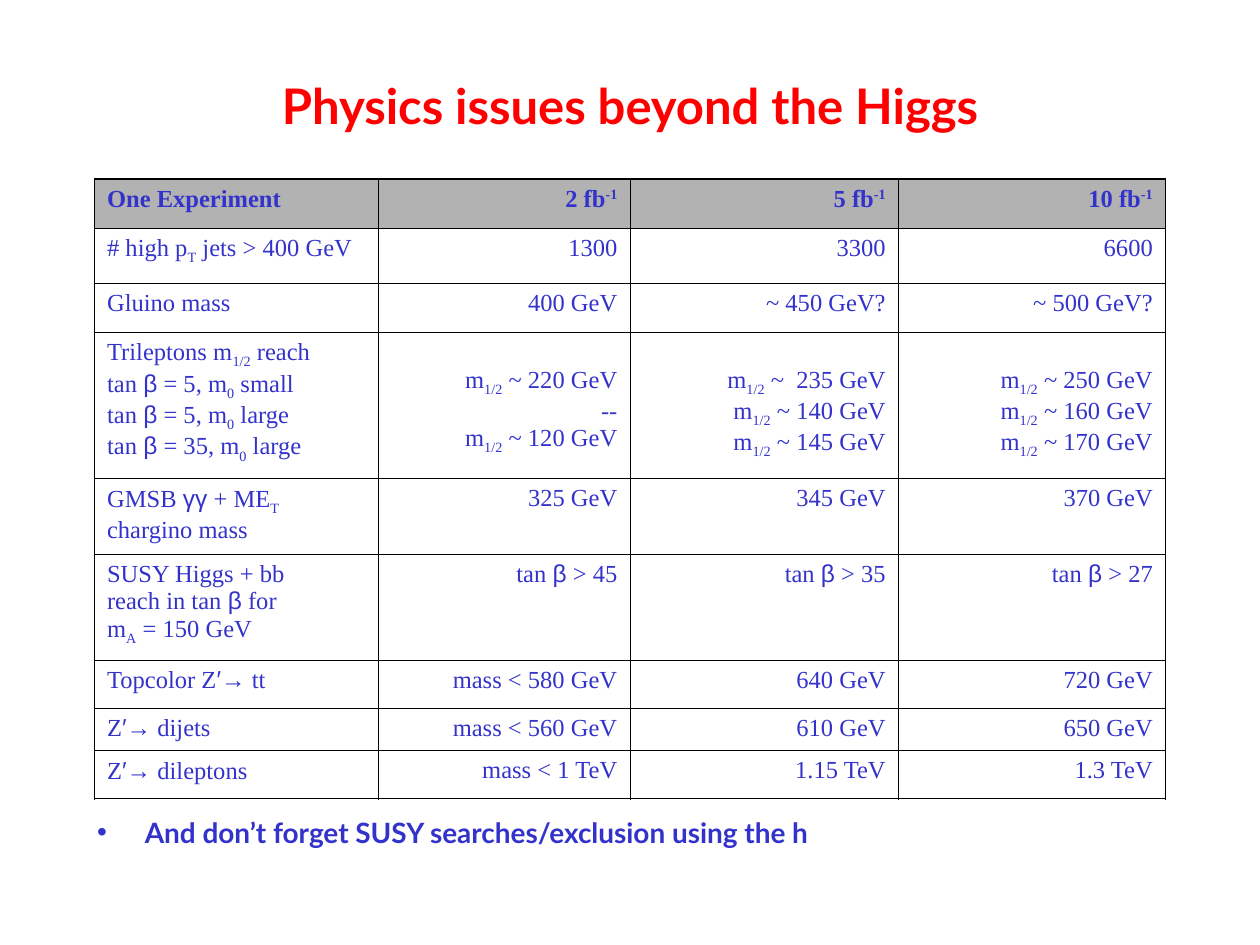
from itertools import groupby

from lxml.etree import SubElement
from pptx import Presentation
from pptx.dml.color import RGBColor
from pptx.enum.text import MSO_ANCHOR, MSO_AUTO_SIZE, PP_ALIGN
from pptx.oxml.ns import qn
from pptx.util import Inches, Pt

THEME = {
    "title": {"name": "Lato", "size": Pt(28), "bold": True, "color": "FF0000"},
    "bullet": {"name": "Lato", "size": Pt(16), "bold": True, "color": "3333CC"},
    "header": {"name": "Times New Roman", "size": Pt(14), "bold": True, "color": "3333CC"},
    "cell": {"name": "Times New Roman", "size": Pt(14), "bold": False, "color": "3333CC"},
    "symbol_font": "Arial",
    "header_fill": "B2B2B2",
    "border": "000000",
    "outer_line": Pt(1.08),
    "inner_line": Pt(0.45),
}
SYMBOLS = "βγ′→"
BASELINES = {"_": "-25000", "^": "30000"}

# {_x} is a subscript, {^x} a superscript, a newline a line break
ROWS = [
    ["One Experiment", "2 fb{^-1}", "5 fb{^-1}", "10 fb{^-1}"],
    ["# high p{_T} jets > 400 GeV", "1300", "3300", "6600"],
    ["Gluino mass", "400 GeV", "~ 450 GeV?", "~ 500 GeV?"],
    ["Trileptons m{_1/2} reach\ntan β = 5, m{_0} small\n"
     "tan β = 5, m{_0} large\ntan β = 35, m{_0} large",
     "m{_1/2} ~ 220 GeV\n--\nm{_1/2} ~ 120 GeV",
     "m{_1/2} ~  235 GeV\nm{_1/2} ~ 140 GeV\nm{_1/2} ~ 145 GeV",
     "m{_1/2} ~ 250 GeV\nm{_1/2} ~ 160 GeV\nm{_1/2} ~ 170 GeV"],
    ["GMSB γγ + ME{_T}\nchargino mass", "325 GeV", "345 GeV", "370 GeV"],
    ["SUSY Higgs + bb\nreach in tan β for\nm{_A} = 150 GeV",
     "tan β > 45", "tan β > 35", "tan β > 27"],
    ["Topcolor Z′→ tt", "mass < 580 GeV", "640 GeV", "720 GeV"],
    ["Z′→ dijets", "mass < 560 GeV", "610 GeV", "650 GeV"],
    ["Z′→ dileptons", "mass < 1 TeV", "1.15 TeV", "1.3 TeV"],
]
COLUMN_WIDTHS = [2.25, 2, 2.13, 2.12]
ROW_HEIGHTS = [0.39, 0.44, 0.39, 1.16, 0.6, 0.84, 0.38, 0.34, 0.38]
TRILEPTON_ROW = 3


def apply_font(font, style):
    for attribute, value in style.items():
        if attribute == "color":
            font.color.rgb = RGBColor.from_string(value)
        else:
            setattr(font, attribute, value)


def write_marked_text(paragraph, text, style):
    for line_number, line in enumerate(text.split("\n")):
        if line_number:
            paragraph.add_line_break()
            line_break = paragraph._p.findall(qn("a:br"))[-1]
            SubElement(line_break, qn("a:rPr"), sz=str(int(style["size"].pt * 100)))
        for piece in line.replace("}", "{").split("{"):
            baseline = BASELINES.get(piece[:1])
            if baseline:
                piece = piece[1:]
            for is_symbol, letters in groupby(piece, lambda letter: letter in SYMBOLS):
                run = paragraph.add_run()
                run.text = "".join(letters)
                apply_font(run.font, style)
                if is_symbol:
                    run.font.name = THEME["symbol_font"]
                if baseline:
                    run._r.get_or_add_rPr().set("baseline", baseline)


presentation = Presentation()
presentation.slide_width, presentation.slide_height = Inches(10), Inches(7.5)
slide = presentation.slides.add_slide(presentation.slide_layouts[1])
title, reminder = slide.placeholders

# Title and closing bullet
for placeholder, left, top, anchor, align, style, text in [
    (title, 0.75, 0.5, MSO_ANCHOR.MIDDLE, PP_ALIGN.CENTER, THEME["title"],
     "Physics issues beyond the Higgs"),
    (reminder, 0.67, 6.42, MSO_ANCHOR.TOP, PP_ALIGN.LEFT, THEME["bullet"],
     "And don’t forget SUSY searches/exclusion using the h"),
]:
    placeholder.left, placeholder.top = Inches(left), Inches(top)
    placeholder.width, placeholder.height = Inches(8.5), Inches(0.67)
    frame = placeholder.text_frame
    frame.auto_size = MSO_AUTO_SIZE.NONE
    frame.vertical_anchor = anchor
    paragraph = frame.paragraphs[0]
    paragraph.alignment = align
    paragraph.space_before = Pt(0)
    write_marked_text(paragraph, text, style)

bullet_format = reminder.text_frame.paragraphs[0]._p.get_or_add_pPr()
bullet_format.set("marL", str(Inches(0.38)))
bullet_format.set("indent", str(-Inches(0.38)))
bullet_color = SubElement(bullet_format, qn("a:buClr"))
SubElement(bullet_color, qn("a:srgbClr"), val=THEME["bullet"]["color"])
SubElement(bullet_format, qn("a:buFont"), typeface=THEME["symbol_font"])
SubElement(bullet_format, qn("a:buChar"), char="•")

# Reach table
reach = slide.shapes.add_table(
    len(ROWS), len(COLUMN_WIDTHS), Inches(0.75), Inches(1.42),
    Inches(sum(COLUMN_WIDTHS)), Inches(sum(ROW_HEIGHTS))).table
reach.first_row = reach.horz_banding = False
for column, width in zip(reach.columns, COLUMN_WIDTHS):
    column.width = Inches(width)
for row, height in zip(reach.rows, ROW_HEIGHTS):
    row.height = Inches(height)

last_row, last_column = len(ROWS) - 1, len(COLUMN_WIDTHS) - 1
for r, texts in enumerate(ROWS):
    for c, text in enumerate(texts):
        cell = reach.cell(r, c)
        paragraph = cell.text_frame.paragraphs[0]
        paragraph.alignment = PP_ALIGN.RIGHT if c else PP_ALIGN.LEFT
        write_marked_text(paragraph, text, THEME["cell" if r else "header"])

        # Values of the trilepton row start beside its second line
        if r == TRILEPTON_ROW and c:
            cell.margin_top = Inches(0.27)

        # Heavier lines on the outside of the table
        cell_format = cell._tc.get_or_add_tcPr()
        for side, is_outer in {"L": c == 0, "R": c == last_column,
                               "T": r == 0, "B": r == last_row}.items():
            width = THEME["outer_line" if is_outer else "inner_line"]
            border = SubElement(cell_format, qn(f"a:ln{side}"), w=str(width))
            border_fill = SubElement(border, qn("a:solidFill"))
            SubElement(border_fill, qn("a:srgbClr"), val=THEME["border"])

        if r == 0:
            cell.fill.solid()
            cell.fill.fore_color.rgb = RGBColor.from_string(THEME["header_fill"])
        else:
            cell.fill.background()

presentation.save("out.pptx")
